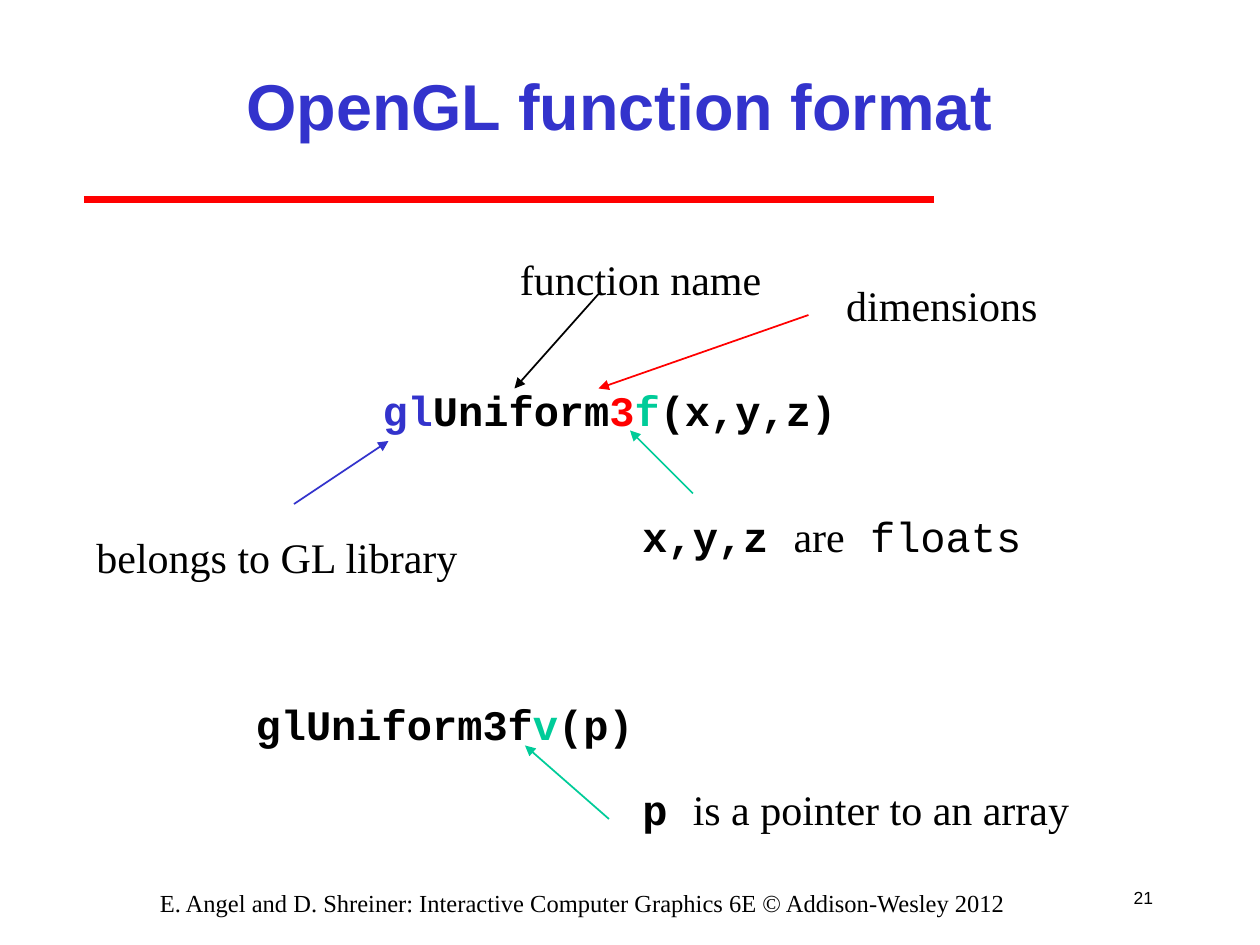
import pptx
import pptx.util
import pptx.dml.color
import pptx.enum.shapes
import pptx.enum.text
import pptx.oxml
import pptx.oxml.ns

Pt = pptx.util.Pt
RGB = pptx.dml.color.RGBColor
ALIGN = pptx.enum.text.PP_ALIGN
ANCHOR = pptx.enum.text.MSO_ANCHOR
FIT = pptx.enum.text.MSO_AUTO_SIZE

BLACK = RGB(0x00, 0x00, 0x00)
BLUE = RGB(0x33, 0x33, 0xCC)
RED = RGB(0xFF, 0x00, 0x00)
GREEN = RGB(0x00, 0xCC, 0x99)

SANS = "Arial"
SERIF = "Times New Roman"
MONO = "Courier New"
ROW = 36  # height of a one-line label


def style(run, size, face, color=BLACK, bold=False):
    font = run.font
    font.size = Pt(size)
    font.name = face
    font.bold = bold
    font.color.rgb = color


def label(slide, x, y, w, h, parts, size=24, align=ALIGN.LEFT, wrap=False):
    """Text box whose parts are (text, face, color, bold)."""
    shape = slide.shapes.add_textbox(Pt(x), Pt(y), Pt(w), Pt(h))
    frame = shape.text_frame
    frame.word_wrap = wrap
    para = frame.paragraphs[0]
    para.alignment = align
    for text, *look in parts:
        run = para.add_run()
        run.text = text
        style(run, size, *look)
    return frame


def line(slide, x1, y1, x2, y2, color, width=1, arrow=True):
    link = slide.shapes.add_connector(
        pptx.enum.shapes.MSO_CONNECTOR.STRAIGHT, Pt(x1), Pt(y1), Pt(x2), Pt(y2))
    link.line.color.rgb = color
    link.line.width = Pt(width)
    if arrow:
        tail = pptx.oxml.parse_xml(
            '<a:tailEnd %s type="triangle"/>' % pptx.oxml.ns.nsdecls("a"))
        link.line._get_or_add_ln().append(tail)
    link._element.spPr.append(pptx.oxml.parse_xml(
        "<a:effectLst %s/>" % pptx.oxml.ns.nsdecls("a")))


def notes(slide, x, y, labels, arrows):
    """Labels and arrows placed from the corner (x, y)."""
    for dx, dy, w, parts in labels:
        label(slide, x + dx, y + dy, w, ROW, parts).auto_size = FIT.SHAPE_TO_FIT_TEXT
    for x1, y1, x2, y2, color in arrows:
        line(slide, x + x1, y + y1, x + x2, y + y2, color)


def heading(slide, x, y, w, h):
    # Red rule under the title
    line(slide, x, y + h, x + w, y + h, RED, 4, False)
    # Title
    title = slide.shapes.title
    title.left, title.top = Pt(x + 60), Pt(y)
    title.width, title.height = Pt(w + 6), Pt(h - 12)
    frame = title.text_frame
    frame.text = "OpenGL function format"
    frame.word_wrap = True
    frame.auto_size = FIT.NONE
    frame.vertical_anchor = ANCHOR.MIDDLE
    para = frame.paragraphs[0]
    para.alignment = ALIGN.CENTER
    style(para.runs[0], 37, SANS, BLUE, True)


def scalar(slide, x, y):
    call = [("gl", MONO, BLUE, True), ("Uniform", MONO, BLACK, True),
            ("3", MONO, RED, True), ("f", MONO, GREEN, True),
            ("(x,y,z)", MONO, BLACK, True)]
    floats = [("x,y,z ", MONO, BLACK, True), ("are", SERIF), (" floats", MONO)]
    labels = [
        (163.5, 76, 275, call),
        (0, 160, 223, [("belongs to GL library", SERIF)]),
        (242, 1.5, 154, [("function name", SERIF)]),
        (312, 148, 232, floats),
        (428.5, 16, 125, [("dimensions", SERIF)]),
    ]
    arrows = [
        (120, 148, 174, 112, BLUE),
        (294, 28, 246, 82, BLACK),
        (348, 142, 312, 106, GREEN),
        (414, 40, 294, 82, RED),
    ]
    notes(slide, x, y, labels, arrows)


def vector(slide, x, y):
    call = [("glUniform3f", MONO, BLACK, True), ("v", MONO, GREEN, True),
            ("(p)", MONO, BLACK, True)]
    point = [("p ", MONO, BLACK, True), ("is a pointer to an array", SERIF)]
    labels = [(1, 0.5, 232, call), (222, 49, 260, point)]
    notes(slide, x, y, labels, [(210, 73, 162, 31, GREEN)])


def footer(slide, x, y, w, h):
    # Source line
    label(slide, x, y + 6, 510, 18, [
        ("E. Angel and D. Shreiner: Interactive Computer Graphics 6E "
         "© Addison-Wesley 2012", SERIF)], 14, ALIGN.CENTER, True)
    # Slide number
    frame = label(slide, x + w - h, y, h, h, [("21", SANS)], 10, ALIGN.RIGHT)
    frame.vertical_anchor = ANCHOR.MIDDLE


def main():
    deck = pptx.Presentation()
    deck.slide_width, deck.slide_height = Pt(720), Pt(540)
    slide = deck.slides.add_slide(deck.slide_layouts[5])
    heading(slide, 48, 18, 486, 96)
    scalar(slide, 48, 140)
    vector(slide, 138, 395)
    footer(slide, 78, 498, 588, 30)
    deck.save("out.pptx")


if __name__ == "__main__":
    main()
